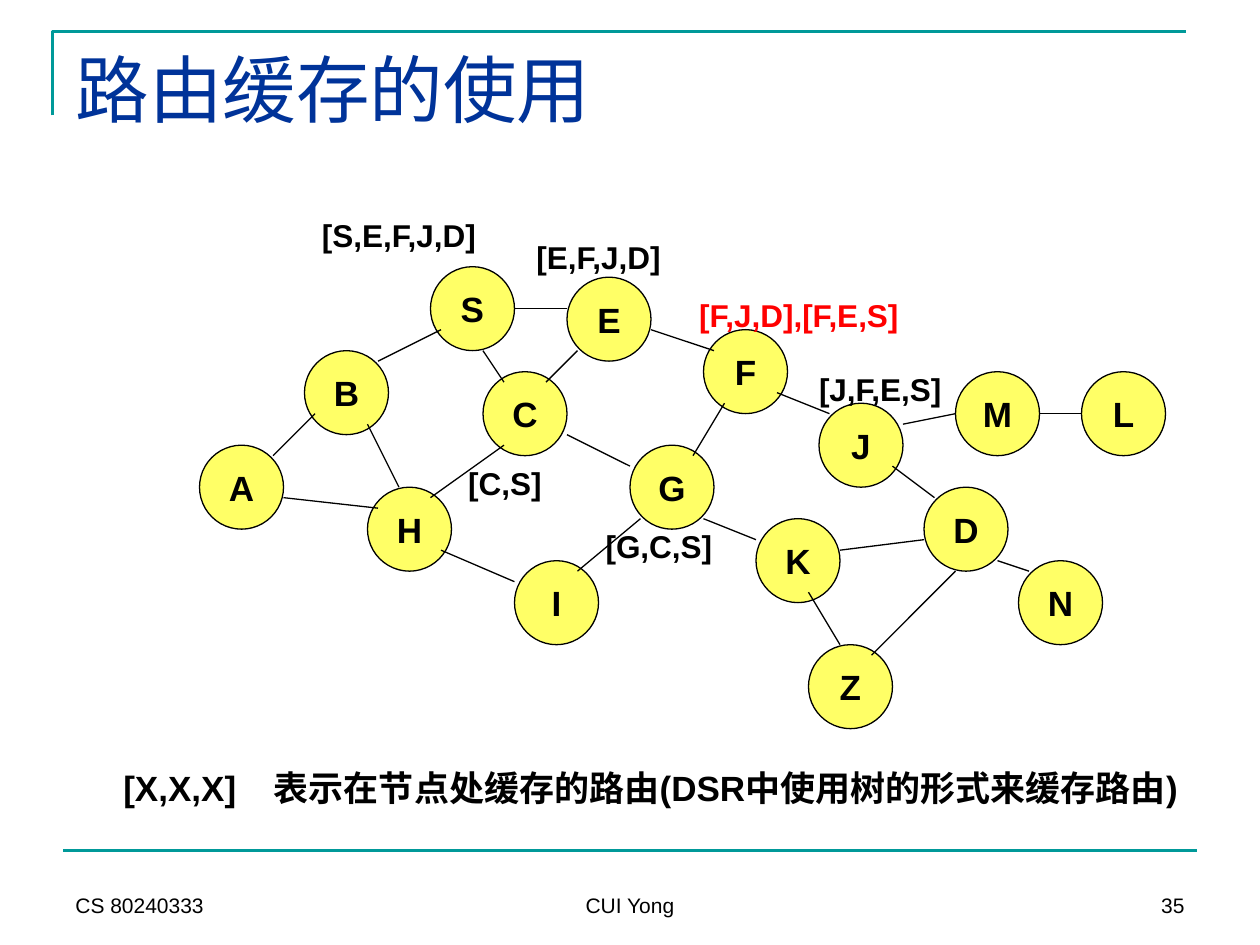
from lxml.etree import SubElement
from pptx import Presentation
from pptx.dml.color import RGBColor
from pptx.enum.shapes import MSO_CONNECTOR as Connector, MSO_SHAPE as Shape
from pptx.enum.text import MSO_ANCHOR as Anchor, MSO_AUTO_SIZE as AutoSize
from pptx.enum.text import PP_ALIGN as Align
from pptx.oxml.ns import qn
from pptx.util import Pt

COLORS = {"teal": "009999", "title": "003399", "node": "FFFF66",
          "ink": "000000", "highlight": "FF0000"}
FONT = "Arial"
STEP = 6   # grid cell of the network, in points
NODE = 8   # node diameter, in grid cells

# Top-left grid cell of each node
NODES = {
    "B": (29, 33), "A": (19, 42), "S": (41, 25), "E": (54, 26),
    "F": (67, 31), "H": (35, 46), "J": (78, 38), "D": (88, 46),
    "C": (46, 35), "G": (60, 42), "I": (49, 53), "K": (72, 49),
    "M": (91, 35), "N": (97, 53), "L": (103, 35), "Z": (77, 61),
}
# Links between nodes: x1, y1, x2, y2 in grid cells
LINKS = [
    (26, 43, 30, 39), (36, 34, 42, 31), (27, 47, 36, 48), (35, 40, 38, 46),
    (48, 42, 41, 47), (55, 33, 52, 36), (62, 31, 68, 33), (69, 38, 66, 43),
    (61, 49, 55, 54), (54, 41, 60, 44), (42, 52, 49, 55), (74, 37, 79, 39),
    (67, 49, 72, 51), (85, 44, 89, 47), (88, 51, 80, 52), (54, 29, 49, 29),
    (46, 33, 48, 36), (86, 40, 91, 39), (95, 53, 98, 54), (99, 39, 103, 39),
    (77, 56, 80, 61), (91, 54, 83, 62),
]
# Cached routes: text, left, top, width in points, colour
ROUTES = [
    ("[S,E,F,J,D]", 175, 120, 106, "ink"),
    ("[E,F,J,D]", 297, 132, 90, "ink"),
    ("[C,S]", 259, 261.5, 59, "ink"),
    ("[G,C,S]", 337, 297.5, 79, "ink"),
    ("[F,J,D],[F,E,S]", 389, 165.5, 135, "highlight"),
    ("[J,F,E,S]", 458, 207.5, 90, "ink"),
]


def color(name):
    return RGBColor.from_string(COLORS[name])


def style_text(paragraph, size, name="ink", bold=False, align=Align.LEFT):
    paragraph.alignment = align
    font = paragraph.font
    font.name, font.size, font.bold = FONT, Pt(size), bold
    font.color.rgb = color(name)


def add_text(slide, text, box, size, name="ink", bold=False,
             align=Align.LEFT, anchor=Anchor.MIDDLE, wrap=False, tab=None):
    frame = slide.shapes.add_textbox(*map(Pt, box)).text_frame
    frame.word_wrap = wrap
    frame.auto_size = AutoSize.NONE if wrap else AutoSize.SHAPE_TO_FIT_TEXT
    frame.vertical_anchor = anchor
    paragraph = frame.paragraphs[0]
    paragraph.text = text
    if tab:
        tabs = SubElement(paragraph._p.get_or_add_pPr(), qn("a:tabLst"))
        SubElement(tabs, qn("a:tab"), pos=str(Pt(tab)), algn="l")
    style_text(paragraph, size, name, bold, align)


def add_line(slide, ends, name, width):
    line = slide.shapes.add_connector(Connector.STRAIGHT, *map(Pt, ends))
    line.line.color.rgb = color(name)
    line.line.width = Pt(width)
    SubElement(line._element.spPr, qn("a:effectLst"))


def add_header(slide, box):
    left, top, width, height = box
    # Corner rule
    builder = slide.shapes.build_freeform(Pt(left), Pt(top + height))
    builder.add_line_segments(
        [(Pt(left), Pt(top)), (Pt(left + width), Pt(top))], close=False)
    rule = builder.convert_to_shape()
    rule.shadow.inherit = False
    rule.fill.background()
    rule.line.color.rgb = color("teal")
    rule.line.width = Pt(1.5)
    # Title
    title = slide.shapes.title
    title.left, title.top = Pt(left + 6), Pt(top + 3.6)
    title.width, title.height = Pt(width), Pt(90)
    frame = title.text_frame
    frame.text = "路由缓存的使用"
    frame.word_wrap = True
    frame.vertical_anchor = Anchor.TOP
    style_text(frame.paragraphs[0], 42, "title")


def add_node(slide, name, box):
    node = slide.shapes.add_shape(Shape.OVAL, *map(Pt, box))
    node.shadow.inherit = False
    node.fill.solid()
    node.fill.fore_color.rgb = color("node")
    node.line.color.rgb = color("ink")
    node.line.width = Pt(0.75)
    frame = node.text_frame
    frame.word_wrap = False
    frame.vertical_anchor = Anchor.MIDDLE
    frame.text = name
    style_text(frame.paragraphs[0], 20, bold=True, align=Align.CENTER)


def add_network(slide, left, top):
    def place(column, row):
        return left + column * STEP, top + row * STEP

    for name, cell in NODES.items():
        add_node(slide, name, (*place(*cell), NODE * STEP, NODE * STEP))
    for x1, y1, x2, y2 in LINKS:
        add_line(slide, (*place(x1, y1), *place(x2, y2)), "ink", 0.75)


def add_routes(slide):
    for text, left, top, width, name in ROUTES:
        add_text(slide, text, (left, top, width, 29), 18, name, True,
                 Align.CENTER)


def add_footer(slide, box):
    left, top, width, height = box
    add_line(slide, (left, top, left + width, top), "teal", 1.5)
    fields = [("CS 80240333", 0, 168, Align.LEFT),
              ("CUI Yong", 210, 228, Align.CENTER),
              ("35", 480, 168, Align.RIGHT)]
    for text, offset, field_width, align in fields:
        add_text(slide, text, (left + offset, top + 6, field_width, height),
                 12, align=align, anchor=Anchor.BOTTOM, wrap=True)


def main():
    presentation = Presentation()
    presentation.slide_width, presentation.slide_height = Pt(720), Pt(540)
    slide = presentation.slides.add_slide(presentation.slide_layouts[5])
    add_header(slide, (30, 18, 648, 48))
    add_network(slide, 0, 2.4)
    add_routes(slide)
    # Legend
    add_text(slide, "[X,X,X]\t表示在节点处缓存的路由(DSR中使用树的形式来缓存路由)",
             (63.4, 434.2, 631.4, 31.7), 20, bold=True, tab=86)
    add_footer(slide, (36, 486, 648, 36))
    presentation.save("out.pptx")


if __name__ == "__main__":
    main()
